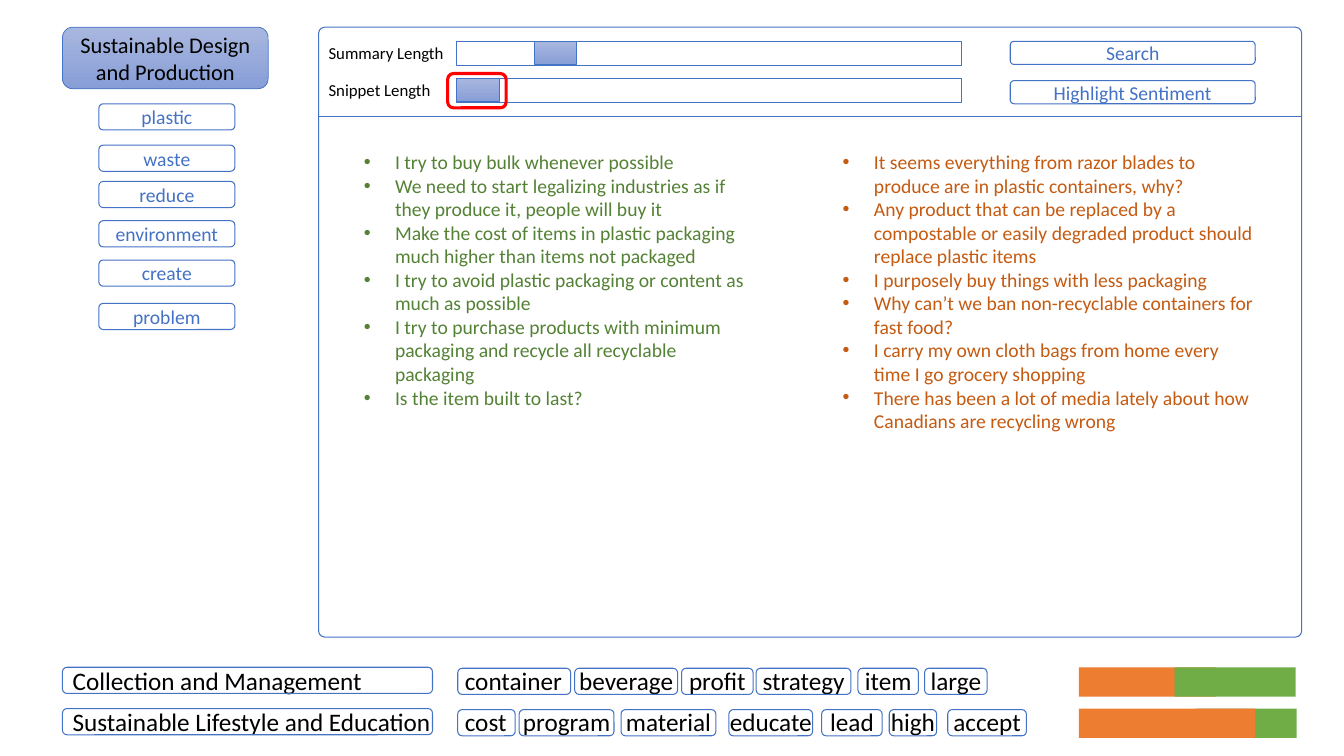
from pptx import Presentation
from pptx import util as u
from pptx.dml import color
from pptx.enum import shapes, text
from pptx.oxml import ns
from lxml import etree

BLUE, BLACK, RED = "4472C4", "000000", "FF0000"
ORANGE, GREEN = "ED7D31", "70AD47"
GRADIENT = ("A8B7DF", "889ED7")
ROUND = shapes.MSO_SHAPE.ROUNDED_RECTANGLE
RECT = shapes.MSO_SHAPE.RECTANGLE
LEFT, PILL_H, BAR_H = 0.62, 0.26, 0.29
COLS = (3.89, 5.93, 2.46)
CELL_MARGIN = 0.1

SIDE_TERMS = {"plastic": 1.03, "waste": 1.44, "reduce": 1.8,
              "environment": 2.19, "create": 2.58, "problem": 3.01}

# Each topic: name, pill top, then (term, pill left, pill width)
TOPICS = [
    ("Collection and Management", 6.62,
     [("container", 4.54, 1.12), ("beverage", 5.7, 1.02), ("profit", 6.76, 0.71),
      ("strategy", 7.5, 0.94), ("item", 8.51, 0.6), ("large", 9.17, 0.62)]),
    ("Sustainable Lifestyle and Education", 7.03,
     [("cost", 4.54, 0.57), ("program", 5.15, 0.94), ("material", 6.16, 0.94),
      ("educate", 7.23, 0.83), ("lead", 8.15, 0.6), ("high", 8.82, 0.47),
      ("accept", 9.4, 0.78)]),
]

# Sentiment bars, back to front: left, top, width, colour
BARS = [(10.7, 6.62, 1.36, ORANGE), (11.65, 6.62, 1.2, GREEN),
        (11.86, 7.03, 1, GREEN), (10.7, 7.03, 1.75, ORANGE)]

# Sliders: label, label top, track top, handle left
SLIDERS = [("Summary Length", 0.37, 0.41, 5.3),
           ("Snippet Length", 0.74, 0.78, 4.53)]
BUTTONS = {"Search": 0.41, "Highlight Sentiment": 0.8}

POSITIVE = [
    "I try to buy bulk whenever possible",
    "We need to start legalizing industries as if they produce it, people will buy it",
    "Make the cost of items in plastic packaging much higher than items not packaged",
    "I try to avoid plastic packaging or content as much as possible",
    "I try to purchase products with minimum packaging and recycle all recyclable packaging",
    "Is the item built to last?",
]
NEGATIVE = [
    "It seems everything from razor blades to produce are in plastic containers, why?",
    "Any product that can be replaced by a compostable or easily degraded product "
    "should replace plastic items",
    "I purposely buy things with less packaging",
    "Why can’t we ban non-recyclable containers for fast food?",
    "I carry my own cloth bags from home every time I go grocery shopping",
    "There has been a lot of media lately about how Canadians are recycling wrong",
]


def rgb(value):
    """Turn a hex string into a colour."""
    return color.RGBColor.from_string(value)


def inches(*values):
    """Turn numbers into a list of lengths."""
    return [u.Inches(v) for v in values]


def apply(obj, **values):
    """Set each named attribute of an object."""
    for name, value in values.items():
        setattr(obj, name, value)


def write(p, words, size, hue, align=None):
    """Write one run of text into a paragraph."""
    p.alignment = align
    r = p.add_run()
    r.text = words
    apply(r.font, name="Calibri", size=u.Pt(size))
    r.font.color.rgb = rgb(hue)


def add_box(s, kind, at, line=BLUE, fill=None, weight=0.75, label="", size=14, hue=BLUE):
    """Add a preset shape; fill is None, a colour or a pair of gradient colours."""
    sp = s.shapes.add_shape(kind, *inches(*at))
    sp.shadow.inherit = False
    if fill is None:
        sp.fill.background()
    elif isinstance(fill, tuple):
        sp.fill.gradient()
        sp.fill.gradient_angle = 270
        for stop, tint in zip(sp.fill.gradient_stops, fill):
            stop.color.rgb = rgb(tint)
    else:
        sp.fill.solid()
        sp.fill.fore_color.rgb = rgb(fill)
    if line:
        sp.line.color.rgb = rgb(line)
        sp.line.width = u.Pt(weight)
    else:
        sp.line.fill.background()
    if label:
        tf = sp.text_frame
        apply(tf, word_wrap=True, vertical_anchor=text.MSO_ANCHOR.MIDDLE)
        write(tf.paragraphs[0], label, size, hue, text.PP_ALIGN.CENTER)
    return sp


def add_text(s, at, lines, size, hue, bullets=False):
    """Add a text box with one paragraph for each line."""
    tf = s.shapes.add_textbox(*inches(*at)).text_frame
    apply(tf, word_wrap=True, auto_size=text.MSO_AUTO_SIZE.SHAPE_TO_FIT_TEXT)
    for i, words in enumerate(lines):
        p = tf.add_paragraph() if i else tf.paragraphs[0]
        write(p, words, size, hue)
        if bullets:
            ppr = p._p.get_or_add_pPr()
            indent = u.Inches(0.31)
            ppr.set("marL", str(indent))
            ppr.set("indent", str(-indent))
            etree.SubElement(ppr, ns.qn("a:buFont")).set("typeface", "Arial")
            etree.SubElement(ppr, ns.qn("a:buChar")).set("char", "•")


def add_rule(s, x1, x2, y):
    """Add a thin horizontal line."""
    cn = s.shapes.add_connector(shapes.MSO_CONNECTOR.STRAIGHT, *inches(x1, y, x2, y))
    cn.line.color.rgb = rgb(BLUE)
    cn.line.width = u.Pt(0.5)
    etree.SubElement(cn._element.spPr, ns.qn("a:effectLst"))


def set_tabs(p, stops):
    """Give a paragraph centred tab stops."""
    tabs = etree.SubElement(p._p.get_or_add_pPr(), ns.qn("a:tabLst"))
    for stop in stops:
        tab = etree.SubElement(tabs, ns.qn("a:tab"))
        tab.set("pos", str(u.Inches(stop)))
        tab.set("algn", "ctr")


def add_topics(s):
    """Add the topic table, its outlines and the sentiment bars."""
    at = inches(LEFT, 6.56, sum(COLS), 0.81)
    table = s.shapes.add_table(len(TOPICS), len(COLS), *at).table
    apply(table, first_row=False, horz_banding=False)
    for column, width in zip(table.columns, COLS):
        column.width = u.Inches(width)
    for cell in table.iter_cells():
        cell.fill.background()
    text_left = LEFT + COLS[0] + CELL_MARGIN
    for row, (topic, top, terms) in enumerate(TOPICS):
        write(table.cell(row, 0).text_frame.paragraphs[0], topic, 18, BLACK)
        p = table.cell(row, 1).text_frame.paragraphs[0]
        write(p, "\t".join(term for term, _, _ in terms), 18, BLACK)
        set_tabs(p, [left + width / 2 - text_left for _, left, width in terms[1:]])
        add_box(s, ROUND, (LEFT, top, 3.67, PILL_H))
        for _, left, width in terms:
            add_box(s, ROUND, (left, top + 0.01, width, PILL_H))
    for left, top, width, hue in BARS:
        add_box(s, RECT, (left, top, width, BAR_H), line=None, fill=hue)


def add_sidebar(s):
    """Add the chosen topic and its terms."""
    add_box(s, ROUND, (LEFT, 0.27, 2.04, 0.61), fill=GRADIENT, weight=0.5,
            label="Sustainable Design and Production", size=16, hue=BLACK)
    for term, top in SIDE_TERMS.items():
        add_box(s, ROUND, (0.98, top, 1.35, PILL_H), label=term)


def add_panel(s):
    """Add the main panel with its sliders, comments and buttons."""
    panel = add_box(s, ROUND, (3.16, 0.27, 9.75, 6.05))
    panel.adjustments[0] = 0.01
    add_rule(s, 3.16, 12.9, 1.15)
    for label, label_top, top, handle in SLIDERS:
        add_box(s, RECT, (4.53, top, 5.01, 0.24))
        add_text(s, (3.16, label_top, 1.39, 0.3), [label], 12, BLACK)
        add_box(s, RECT, (handle, top, 0.42, 0.23), fill=GRADIENT, weight=0.5)
    add_text(s, (3.51, 1.44, 4.09, 2.69), POSITIVE, 14, "548235", bullets=True)
    add_text(s, (8.26, 1.44, 4.31, 2.93), NEGATIVE, 14, "C55A11", bullets=True)
    for label, top in BUTTONS.items():
        add_box(s, ROUND, (10.02, top, 2.43, 0.23), label=label)
    add_box(s, ROUND, (4.44, 0.73, 0.58, 0.34), line=RED, weight=2.25)


def main():
    """Build the slide and save it."""
    prs = Presentation()
    apply(prs, slide_width=u.Inches(13.33), slide_height=u.Inches(7.5))
    s = prs.slides.add_slide(prs.slide_layouts[6])
    add_topics(s)
    add_sidebar(s)
    add_panel(s)
    prs.save("out.pptx")


main()
